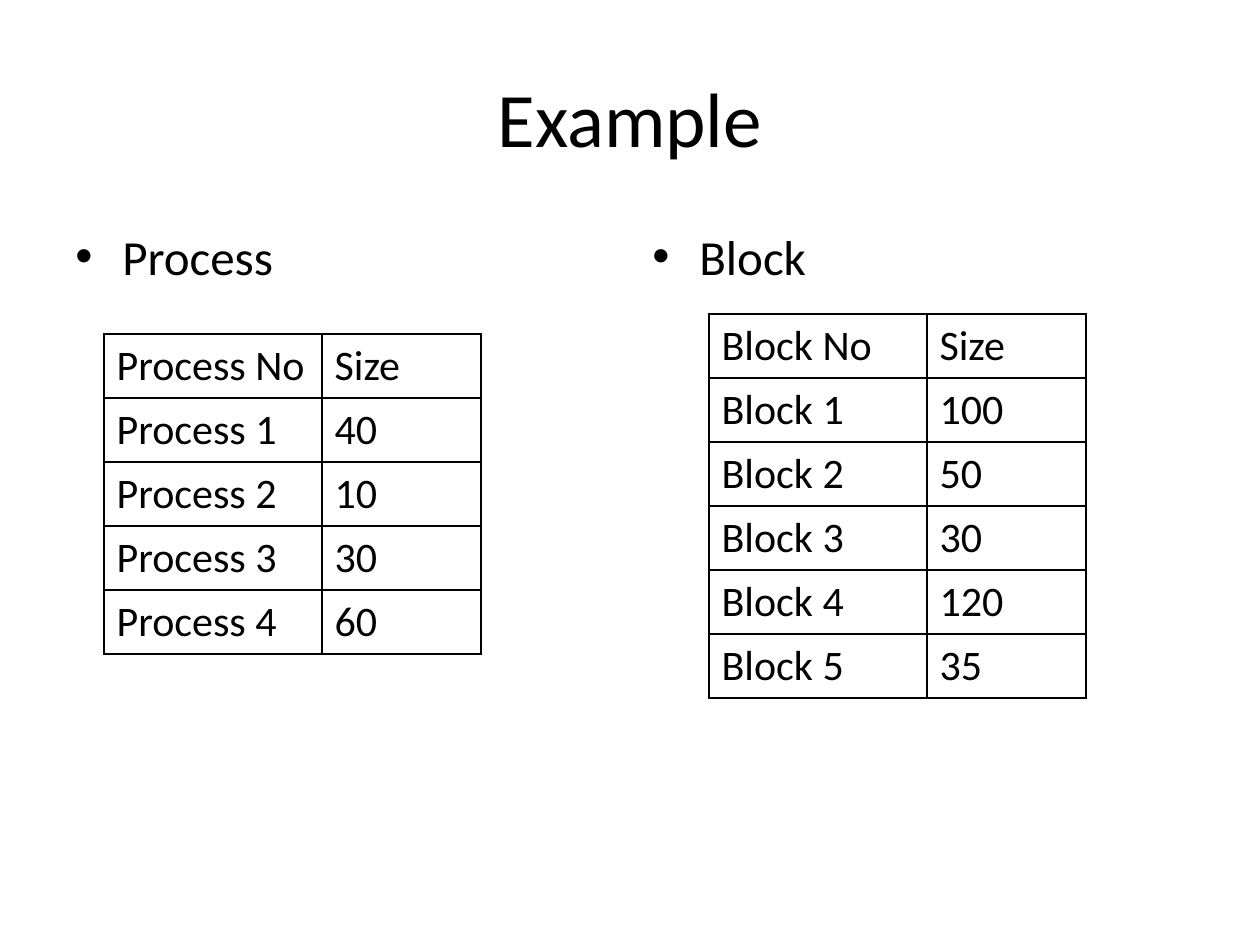
from dataclasses import dataclass

from lxml.etree import SubElement
from pptx import Presentation
from pptx.dml.color import RGBColor
from pptx.enum.text import MSO_ANCHOR, PP_ALIGN
from pptx.oxml.ns import qn
from pptx.util import Pt

PX_PER_INCH = 126
SLIDE_WIDTH, SLIDE_HEIGHT = 1260, 945
COLUMN_WIDTHS = (218, 159)
ROW_HEIGHT = 64
BULLET_INDENT = 47


@dataclass(frozen=True)
class Theme:
    font: str = "Calibri"
    ink: str = "000000"
    title_size: int = 44
    heading_size: int = 28
    cell_size: int = 24
    border_width: int = 1


THEME = Theme()


def px(length):
    return round(length * 914400 / PX_PER_INCH)


def style_paragraph(paragraph, size):
    paragraph.font.name = THEME.font
    paragraph.font.size = Pt(size)
    paragraph.font.color.rgb = RGBColor.from_string(THEME.ink)


def add_text(slide, box, text, size):
    shape = slide.shapes.add_textbox(*map(px, box))
    shape.text_frame.word_wrap = True
    paragraph = shape.text_frame.paragraphs[0]
    paragraph.text = text
    style_paragraph(paragraph, size)
    return shape.text_frame, paragraph


def add_title(slide, box, text):
    text_frame, paragraph = add_text(slide, box, text, THEME.title_size)
    text_frame.vertical_anchor = MSO_ANCHOR.MIDDLE
    paragraph.alignment = PP_ALIGN.CENTER


def add_bullet(slide, box, text):
    _, paragraph = add_text(slide, box, text, THEME.heading_size)
    paragraph.space_before = Pt(THEME.heading_size * 0.2)
    properties = paragraph._p.get_or_add_pPr()
    properties.set("marL", str(px(BULLET_INDENT)))
    properties.set("indent", str(-px(BULLET_INDENT)))
    SubElement(properties, qn("a:buFont"), typeface="Arial")
    SubElement(properties, qn("a:buChar"), char="•")


def add_borders(cell):
    properties = cell._tc.get_or_add_tcPr()
    for side in ("L", "R", "T", "B"):
        line = SubElement(properties, qn(f"a:ln{side}"), w=str(Pt(THEME.border_width)))
        fill = SubElement(line, qn("a:solidFill"))
        SubElement(fill, qn("a:srgbClr"), val=THEME.ink)


def add_size_table(slide, left, top, item, sizes):
    """Adds a grid of numbered items and their sizes under a header row."""
    rows = [(f"{item} No", "Size")]
    rows += [(f"{item} {number}", str(size)) for number, size in enumerate(sizes, 1)]
    box = (left, top, sum(COLUMN_WIDTHS), ROW_HEIGHT * len(rows))
    table = slide.shapes.add_table(len(rows), len(COLUMN_WIDTHS), *map(px, box)).table
    table.first_row = table.horz_banding = False
    for column, width in zip(table.columns, COLUMN_WIDTHS):
        column.width = px(width)
    for row, texts in zip(table.rows, rows):
        row.height = px(ROW_HEIGHT)
        for cell, text in zip(row.cells, texts):
            cell.text = text
            style_paragraph(cell.text_frame.paragraphs[0], THEME.cell_size)
            add_borders(cell)
            cell.fill.background()


def add_panel(slide, box, item, sizes, table_offset):
    """Adds a bulleted heading with its table, offset from the box corner."""
    left, top, _, _ = box
    offset_x, offset_y = table_offset
    add_bullet(slide, box, item)
    add_size_table(slide, left + offset_x, top + offset_y, item, sizes)


def main():
    presentation = Presentation()
    presentation.slide_width = px(SLIDE_WIDTH)
    presentation.slide_height = px(SLIDE_HEIGHT)
    slide = presentation.slides.add_slide(presentation.slide_layouts[6])
    add_title(slide, (63, 38, 1134, 157), "Example")
    add_panel(slide, (63, 220, 557, 624), "Process", (40, 10, 30, 60), (41, 114))
    add_panel(slide, (640, 220, 557, 624), "Block", (100, 50, 30, 120, 35), (69, 94))
    presentation.save("out.pptx")


if __name__ == "__main__":
    main()
